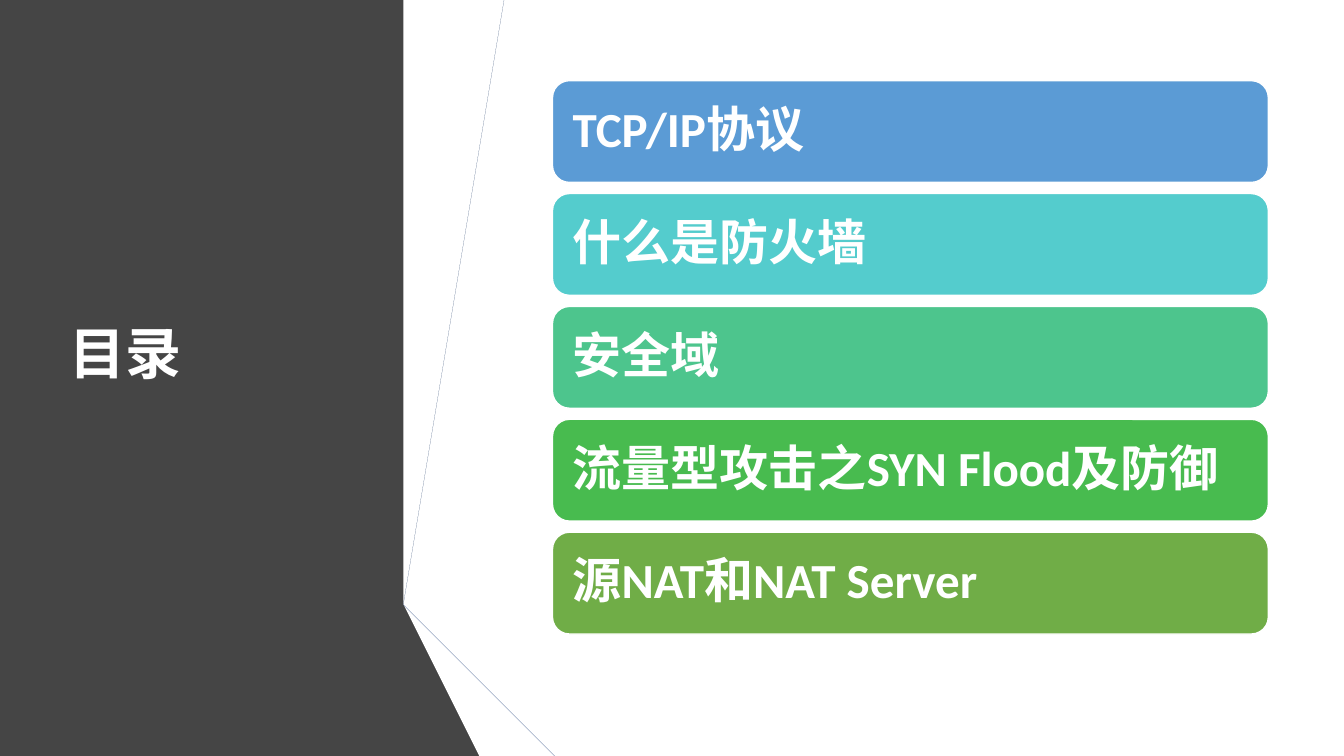
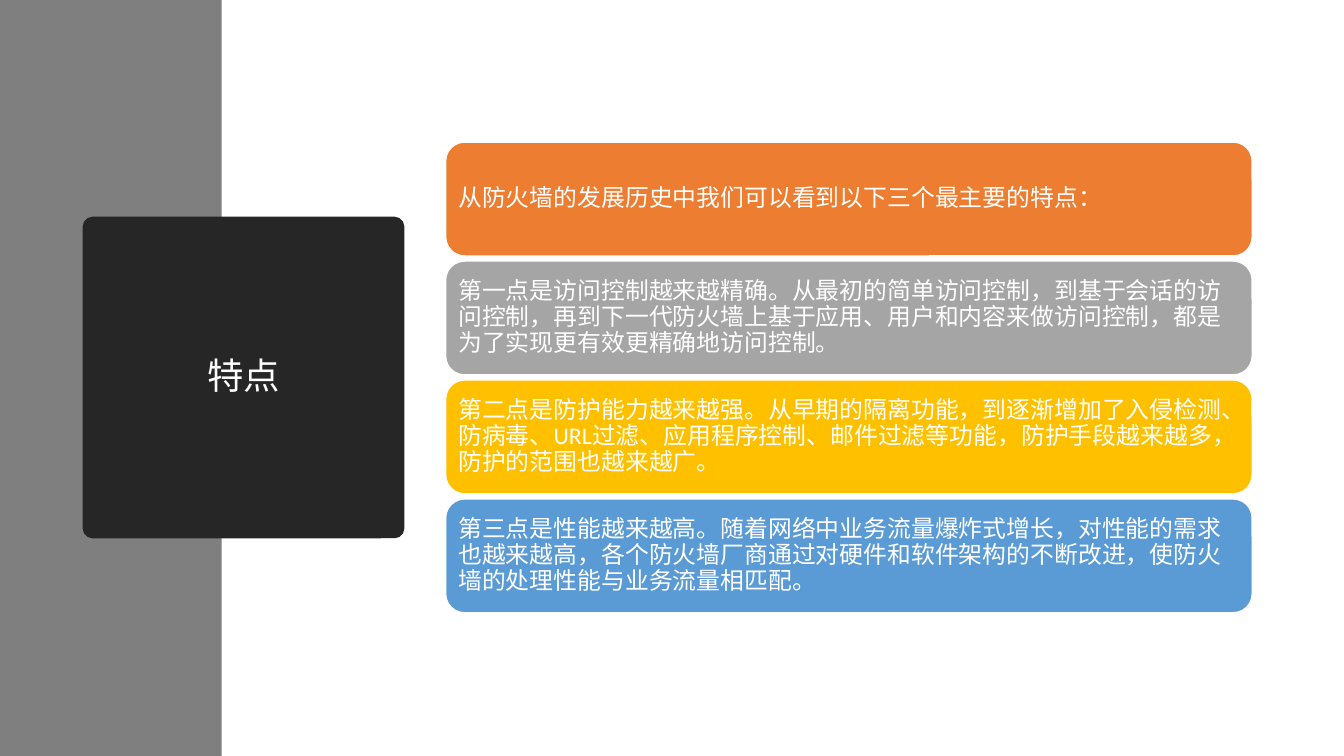
from dataclasses import dataclass

from pptx import Presentation
from pptx.dml.color import RGBColor
from pptx.enum.lang import MSO_LANGUAGE_ID
from pptx.enum.shapes import MSO_SHAPE
from pptx.enum.text import MSO_ANCHOR, PP_ALIGN
from pptx.shapes.base import BaseShape
from pptx.slide import Slide
from pptx.util import Inches, Pt

FONT = "Calibri"
WHITE = "FFFFFF"
DARK_PANEL = "454545"
SIDE_BAND = "7F7F7F"
TITLE_BLOCK = "262626"
SLIDE_WIDTH, SLIDE_HEIGHT = 13.33, 7.5


@dataclass(frozen=True)
class Box:
    left: float
    top: float
    width: float
    height: float


@dataclass(frozen=True)
class TextStyle:
    size: float
    bold: bool = False
    align: PP_ALIGN = PP_ALIGN.LEFT
    inset: float = 0.1


@dataclass(frozen=True)
class Facet:
    color: str
    points: tuple[tuple[float, float], ...]


@dataclass(frozen=True)
class Card:
    text: str
    color: str


@dataclass(frozen=True)
class CardStack:
    first: Box
    pitch: float
    style: TextStyle
    cards: tuple[Card, ...]


FACETS = (
    Facet(DARK_PANEL, ((0, 0), (4.49, 0), (3.56, 5.75), (4.82, 7.5), (0, 7.5))),
    Facet("4472C4", ((3.96, 5.78), (4.23, 5.83), (5.19, 0), (4.91, 0))),
    Facet("595959", ((4.85, 0), (4.57, 0), (3.63, 5.73), (3.9, 5.77))),
    Facet("262626", ((3.63, 5.73), (4.91, 7.5), (4.97, 7.5))),
    Facet("203864", ((3.96, 5.79), (5.54, 7.5), (5.6, 7.5))),
    Facet("2F5597", ((3.96, 5.78), (5.6, 7.5), (6.29, 7.5), (4.23, 5.83))),
    Facet("404040", ((5.48, 7.5), (3.95, 5.83), (3.9, 5.77), (3.63, 5.73), (4.97, 7.5))),
)

AGENDA = CardStack(
    Box(5.48, 0.8, 7.1, 1.01),
    1.12,
    TextStyle(35, bold=True, inset=0.15),
    (
        Card("TCP/IP协议", "5B9BD5"),
        Card("什么是防火墙", "54CCCD"),
        Card("安全域", "4DC58D"),
        Card("流量型攻击之SYN Flood及防御", "48BB4F"),
        Card("源NAT和NAT Server", "70AD47"),
    ),
)

FEATURES = CardStack(
    Box(4.42, 1.41, 8, 1.13),
    1.18,
    TextStyle(17, inset=0.07),
    (
        Card("从防火墙的发展历史中我们可以看到以下三个最主要的特点：", "ED7D31"),
        Card(
            "第一点是访问控制越来越精确。从最初的简单访问控制，到基于会话的访问控制，"
            "再到下一代防火墙上基于应用、用户和内容来做访问控制，"
            "都是为了实现更有效更精确地访问控制。",
            "A5A5A5",
        ),
        Card(
            "第二点是防护能力越来越强。从早期的隔离功能，到逐渐增加了入侵检测、防病毒、"
            "URL过滤、应用程序控制、邮件过滤等功能，防护手段越来越多，"
            "防护的范围也越来越广。",
            "FFC000",
        ),
        Card(
            "第三点是性能越来越高。随着网络中业务流量爆炸式增长，对性能的需求也越来越高，"
            "各个防火墙厂商通过对硬件和软件架构的不断改进，"
            "使防火墙的处理性能与业务流量相匹配。",
            "5B9BD5",
        ),
    ),
)


def rgb(color: str) -> RGBColor:
    return RGBColor.from_string(color)


def paint(shape: BaseShape, fill: str, line: str | None = None) -> None:
    shape.shadow.inherit = False
    shape.fill.solid()
    shape.fill.fore_color.rgb = rgb(fill)
    if line is None:
        shape.line.fill.background()
    else:
        shape.line.color.rgb = rgb(line)
        shape.line.width = Pt(1)


def write(shape: BaseShape, text: str, style: TextStyle) -> None:
    frame = shape.text_frame
    frame.text = text
    frame.word_wrap = True
    frame.vertical_anchor = MSO_ANCHOR.MIDDLE
    frame.margin_left = frame.margin_right = Inches(style.inset)
    frame.margin_top = frame.margin_bottom = Inches(style.inset)
    paragraph = frame.paragraphs[0]
    paragraph.alignment = style.align
    paragraph.line_spacing = 0.9
    for run in paragraph.runs:
        run.font.name = FONT
        run.font.size = Pt(style.size)
        run.font.bold = style.bold
        run.font.color.rgb = rgb(WHITE)
        run.font.language_id = MSO_LANGUAGE_ID.SIMPLIFIED_CHINESE


def add_block(
    slide: Slide, kind: MSO_SHAPE, box: Box, fill: str, line: str | None = None
) -> BaseShape:
    block = slide.shapes.add_shape(
        kind, Inches(box.left), Inches(box.top), Inches(box.width), Inches(box.height)
    )
    paint(block, fill, line)
    return block


def add_facet(slide: Slide, facet: Facet) -> None:
    start, *rest = facet.points
    builder = slide.shapes.build_freeform(*start, scale=Inches(1))
    builder.add_line_segments(rest, close=True)
    paint(builder.convert_to_shape(), facet.color)


def add_cards(slide: Slide, stack: CardStack) -> None:
    first = stack.first
    for index, card in enumerate(stack.cards):
        box = Box(first.left, first.top + index * stack.pitch, first.width, first.height)
        block = add_block(slide, MSO_SHAPE.ROUNDED_RECTANGLE, box, card.color, WHITE)
        write(block, card.text, stack.style)


def build_agenda(slide: Slide) -> None:
    for facet in FACETS:
        add_facet(slide, facet)
    title = slide.shapes.add_textbox(Inches(0.59), Inches(0.75), Inches(3.04), Inches(5.58))
    write(title, "目录", TextStyle(40, bold=True))
    add_cards(slide, AGENDA)


def build_features(slide: Slide) -> None:
    add_block(slide, MSO_SHAPE.RECTANGLE, Box(0, 0, 2.2, SLIDE_HEIGHT), SIDE_BAND)
    title = add_block(
        slide, MSO_SHAPE.ROUNDED_RECTANGLE, Box(0.82, 2.15, 3.19, 3.19), TITLE_BLOCK
    )
    title.adjustments[0] = 0.03
    write(title, "特点", TextStyle(26, align=PP_ALIGN.CENTER))
    add_cards(slide, FEATURES)


def main() -> None:
    deck = Presentation()
    deck.slide_width = Inches(SLIDE_WIDTH)
    deck.slide_height = Inches(SLIDE_HEIGHT)
    blank = deck.slide_layouts[6]
    for build in (build_agenda, build_features):
        build(deck.slides.add_slide(blank))
    deck.save("out.pptx")


if __name__ == "__main__":
    main()
